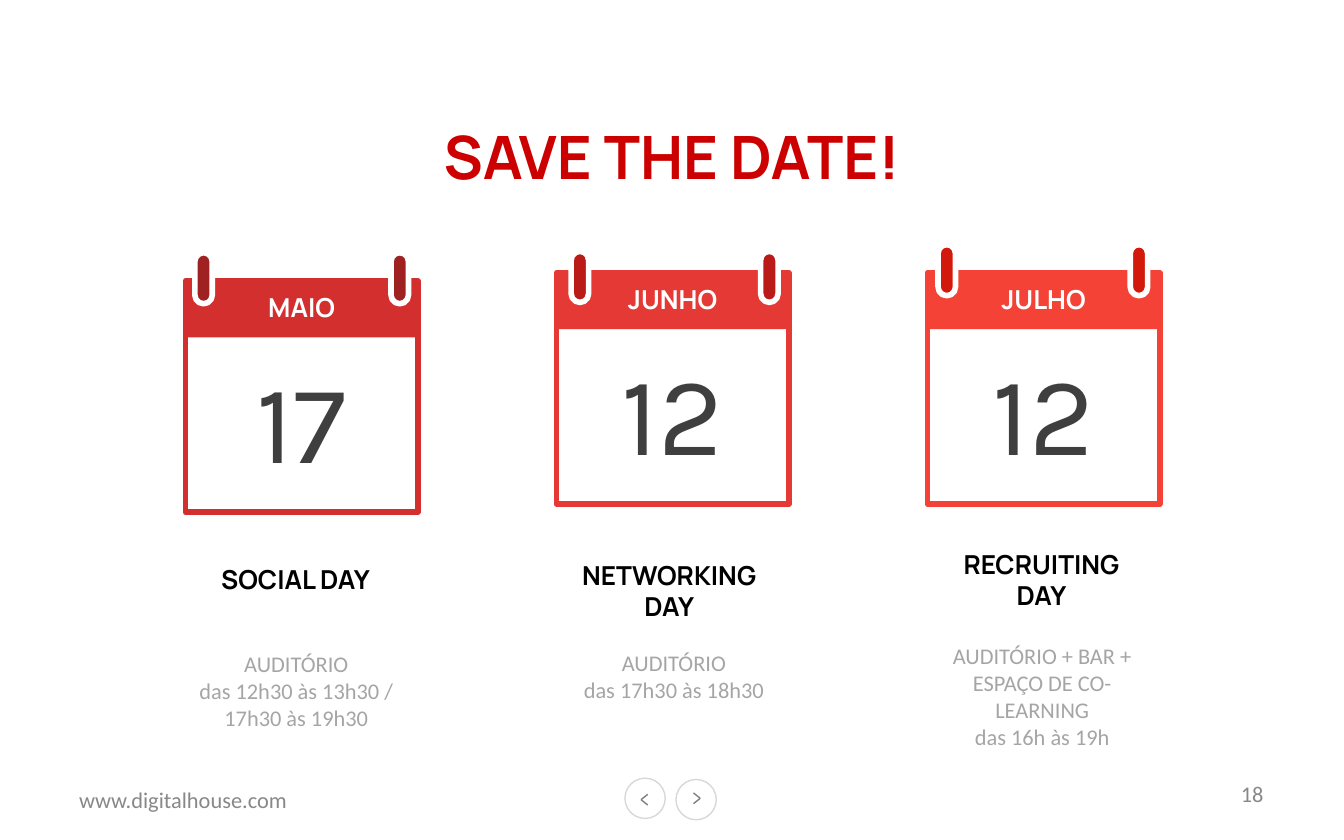
from lxml.etree import SubElement
from pptx import Presentation
from pptx.dml.color import RGBColor
from pptx.enum.shapes import MSO_CONNECTOR, MSO_SHAPE
from pptx.enum.text import MSO_ANCHOR, PP_ALIGN
from pptx.oxml.ns import qn
from pptx.util import Pt

PX = 9144
COLORS = {
    "white": "FFFFFF", "title": "CC0000", "day": "3F3F3F", "event": "000000",
    "details": "A5A5A5", "footer": "888888", "ring": "D8D8D8", "chevron": "7F7F7F",
    "maio": "D32F2F", "maio_pin": "9F2121",
    "junho": "E53935", "junho_pin": "BB1B18",
    "julho": "F44336", "julho_pin": "D3190B",
}
CALENDAR_LEFT, CALENDAR_PITCH, CALENDAR_WIDTH = 138, 276, 173

EVENTS = [
    dict(month="MAIO", day="17", color="maio", top=209, pins=(145, 291), pin_top=188,
         name="SOCIAL DAY", name_at=(117, 414), details_at=(134, 479),
         details="AUDITÓRIO\ndas 12h30 às 13h30 / 17h30 às 19h30"),
    dict(month="JUNHO", day="12", color="junho", top=203, pins=(425, 566), pin_top=187,
         name="NETWORKING\nDAY", name_at=(395, 411), details_at=(415, 478),
         details="AUDITÓRIO\ndas 17h30 às 18h30"),
    dict(month="JULHO", day="12", color="julho", top=203, pins=(698, 841), pin_top=182,
         name="RECRUITING\nDAY", name_at=(672, 403), details_at=(689, 473),
         details="AUDITÓRIO + BAR + ESPAÇO DE CO-LEARNING\ndas 16h às 19h"),
]


def rgb(name):
    return RGBColor.from_string(COLORS[name])


def emu(*lengths):
    return [length * PX for length in lengths]


def write(frame, text, size, font, color, bold=False, align=PP_ALIGN.CENTER,
          anchor=MSO_ANCHOR.TOP, inset=(10, 5), spacing=None):
    frame.word_wrap = True
    frame.vertical_anchor = anchor
    frame.margin_left = frame.margin_right = inset[0] * PX
    frame.margin_top = frame.margin_bottom = inset[1] * PX
    frame.text = text
    for paragraph in frame.paragraphs:
        paragraph.alignment = align
        paragraph.line_spacing = spacing
        paragraph.font.size = Pt(size)
        paragraph.font.name = font
        paragraph.font.bold = bold
        paragraph.font.color.rgb = rgb(color)


def add_text(slide, box, text, **style):
    write(slide.shapes.add_textbox(*emu(*box)).text_frame, text, **style)


def add_shape(slide, kind, box, fill=None, line=None, weight=0.75):
    shape = slide.shapes.add_shape(kind, *emu(*box))
    shape.shadow.inherit = False
    if fill:
        shape.fill.solid()
        shape.fill.fore_color.rgb = rgb(fill)
    else:
        shape.fill.background()
    if line:
        shape.line.color.rgb = rgb(line)
        shape.line.width = Pt(weight)
    else:
        shape.line.fill.background()
    return shape


def add_line(slide, start, end, color):
    line = slide.shapes.add_connector(MSO_CONNECTOR.STRAIGHT, *emu(*start, *end))
    line.line.color.rgb = rgb(color)
    line.line.width = Pt(0.75)
    SubElement(line._element.spPr, qn("a:effectLst"))


def add_nav_button(slide, left, top, tip, direction):
    add_shape(slide, MSO_SHAPE.OVAL, (left, top, 30, 30), "white", "ring")
    tip_x, tip_y = tip
    for rise in (-4, 4):
        add_line(slide, tip, (tip_x - 5 * direction, tip_y + rise), "chevron")


def add_footer(slide):
    style = dict(size=12, font="Calibri", color="footer", anchor=MSO_ANCHOR.MIDDLE)
    add_text(slide, (49, 580, 233, 30), "www.digitalhouse.com", align=PP_ALIGN.LEFT, **style)
    add_text(slide, (717, 574, 233, 33), "18", align=PP_ALIGN.RIGHT, **style)
    add_nav_button(slide, 465, 579, (477, 595), -1)
    add_nav_button(slide, 503, 580, (521, 594), 1)


def add_calendar(slide, left, event):
    top, color = event["top"], event["color"]
    add_shape(slide, MSO_SHAPE.RECTANGLE, (left, top, CALENDAR_WIDTH, 172),
              line=color, weight=3)
    header = add_shape(slide, MSO_SHAPE.RECTANGLE, (left, top, CALENDAR_WIDTH, 42), color)
    write(header.text_frame, event["month"], size=14, font="Manrope", color="white",
          bold=True, anchor=MSO_ANCHOR.MIDDLE, inset=(0, 0), spacing=0.9)
    add_text(slide, (left, top + 47, CALENDAR_WIDTH, 111), event["day"],
             size=60, font="Karla", color="day", anchor=MSO_ANCHOR.MIDDLE)
    for pin_left in event["pins"]:
        pin = add_shape(slide, MSO_SHAPE.ROUNDED_RECTANGLE,
                        (pin_left, event["pin_top"], 13, 38), color + "_pin", "white", 3)
        pin.adjustments[0] = 0.5


def add_caption(slide, event):
    add_text(slide, (*event["name_at"], 206, 19), event["name"],
             size=14, font="Manrope", color="event", bold=True)
    add_text(slide, (*event["details_at"], 173, 61), event["details"],
             size=12, font="Calibri", color="details")


def main():
    deck = Presentation()
    deck.slide_width, deck.slide_height = emu(1000, 625)
    slide = deck.slides.add_slide(deck.slide_layouts[6])
    add_footer(slide)
    add_text(slide, (75, 55, 850, 121), "SAVE THE DATE!", size=32, font="Manrope",
             color="title", bold=True, anchor=MSO_ANCHOR.MIDDLE, inset=(0, 0))
    for column, event in enumerate(EVENTS):
        add_calendar(slide, CALENDAR_LEFT + column * CALENDAR_PITCH, event)
        add_caption(slide, event)
    deck.save("out.pptx")


if __name__ == "__main__":
    main()
